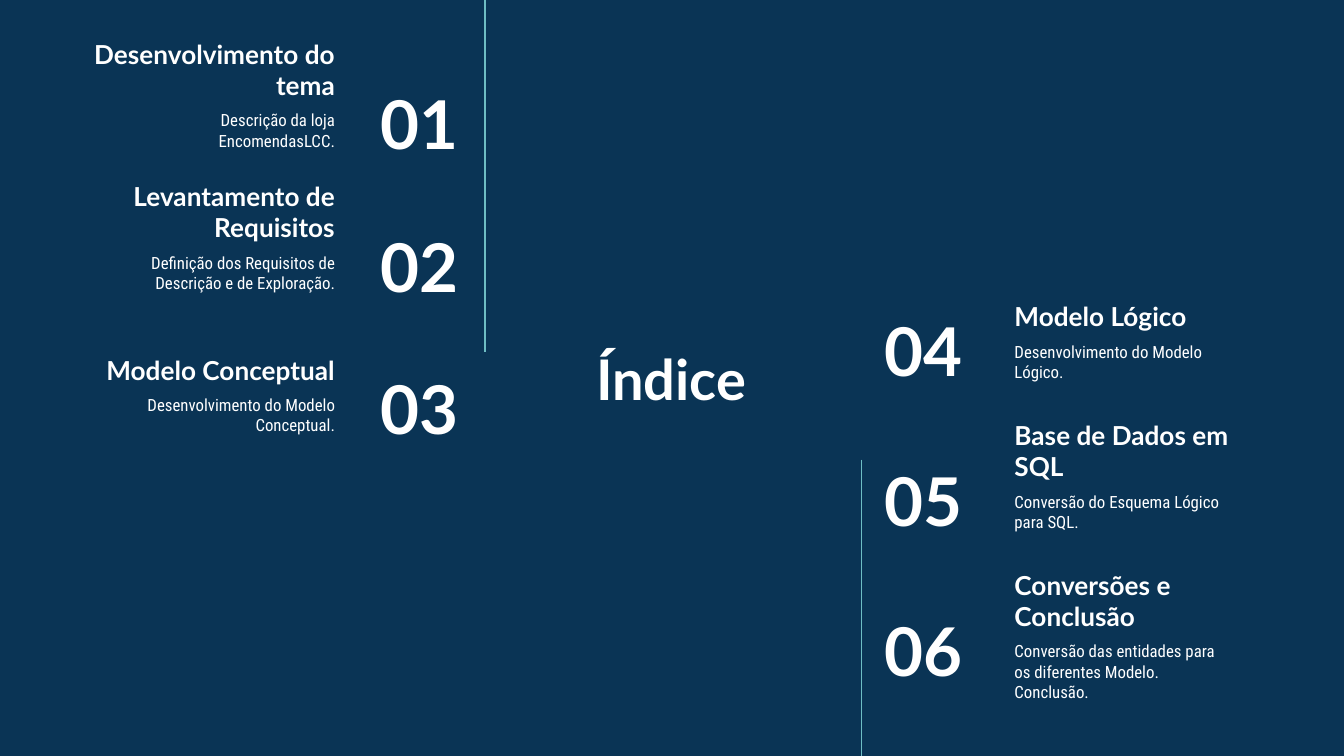
"""Build the index slide with six numbered sections around a title."""
from lxml import etree
from pptx import Presentation
from pptx.dml.color import RGBColor
from pptx.enum.shapes import MSO_CONNECTOR
from pptx.enum.text import MSO_ANCHOR, PP_ALIGN
from pptx.oxml.ns import qn
from pptx.util import Pt

NAVY = RGBColor(0x0A, 0x34, 0x55)
WHITE = RGBColor(0xFF, 0xFF, 0xFF)
TEAL = RGBColor(0x6E, 0xBD, 0xC4)
LEFT, CENTER, RIGHT = PP_ALIGN.LEFT, PP_ALIGN.CENTER, PP_ALIGN.RIGHT
TOP, MIDDLE, BOTTOM = MSO_ANCHOR.TOP, MSO_ANCHOR.MIDDLE, MSO_ANCHOR.BOTTOM
STRAIGHT = MSO_CONNECTOR.STRAIGHT
HEAD, BODY = "Lato", "Roboto Condensed"
INSET, ROW = 7.2, 45.4

FIRST = [
    ("Desenvolvimento do tema", "Descrição da loja EncomendasLCC."),
    ("Levantamento de Requisitos",
     "Definição dos Requisitos de Descrição e de Exploração."),
    ("Modelo Conceptual", "Desenvolvimento do Modelo Conceptual."),
]
SECOND = [
    ("Modelo Lógico", "Desenvolvimento do Modelo Lógico."),
    ("Base de Dados em SQL", "Conversão do Esquema Lógico para SQL."),
    ("Conversões e Conclusão",
     "Conversão das entidades para os diferentes Modelo.\nConclusão."),
]


def add_text(slide, text, box, size, align, anchor=MIDDLE, face=HEAD):
    """Add a white text box; the heading face is bold."""
    frame = slide.shapes.add_textbox(*map(Pt, box)).text_frame
    frame.word_wrap = True
    frame.vertical_anchor = anchor
    frame.margin_left = frame.margin_right = Pt(INSET)
    frame.margin_top = frame.margin_bottom = Pt(INSET)
    frame.text = text
    for para in frame.paragraphs:
        para.alignment = align
        para.font.name = face
        para.font.size = Pt(size)
        para.font.bold = face == HEAD
        para.font.color.rgb = WHITE


def add_rule(slide, x, start, end):
    """Add a thin vertical rule."""
    rule = slide.shapes.add_connector(
        STRAIGHT, Pt(x), Pt(start), Pt(x), Pt(end))
    rule.line.color.rgb = TEAL
    rule.line.width = Pt(0.75)
    props = rule.element.find(qn("p:spPr"))
    etree.SubElement(props, qn("a:effectLst"))


def add_column(slide, items, start, top, step, lift, align, spots):
    """Add a column of numbered sections; spots hold left and width."""
    head, body, mark = spots
    for i, (title, note) in enumerate(items):
        y = top + i * step
        add_text(slide, title, (head[0], y, head[1], ROW), 14, align, BOTTOM)
        add_text(slide, note, (body[0], y + 36, body[1], ROW), 9, align,
                 TOP, BODY)
        add_text(slide, f"{start + i:02}", (mark[0], y + lift, mark[1], ROW),
                 36, align)


def main():
    """Build and save the slide."""
    deck = Presentation()
    deck.slide_width, deck.slide_height = Pt(720), Pt(405)
    slide = deck.slides.add_slide(deck.slide_layouts[6])
    slide.background.fill.solid()
    slide.background.fill.fore_color.rgb = NAVY
    add_text(slide, "Índice", (266.4, 165.6, 186.5, 74.2), 30, CENTER)
    add_column(slide, FIRST, 1, 15.8, 76.3, 27.4, RIGHT,
               [(31, 155.5), (54.7, 131.8), (165.6, 87.1)])
    add_column(slide, SECOND, 4, 139.7, 80.3, 25, LEFT,
               [(536.4, 155.5), (536.4, 131.8), (466.6, 84.2)])
    add_rule(slide, 259.9, 0, 188.6)
    add_rule(slide, 461.5, 246.2, 405)
    deck.save("out.pptx")


if __name__ == "__main__":
    main()
